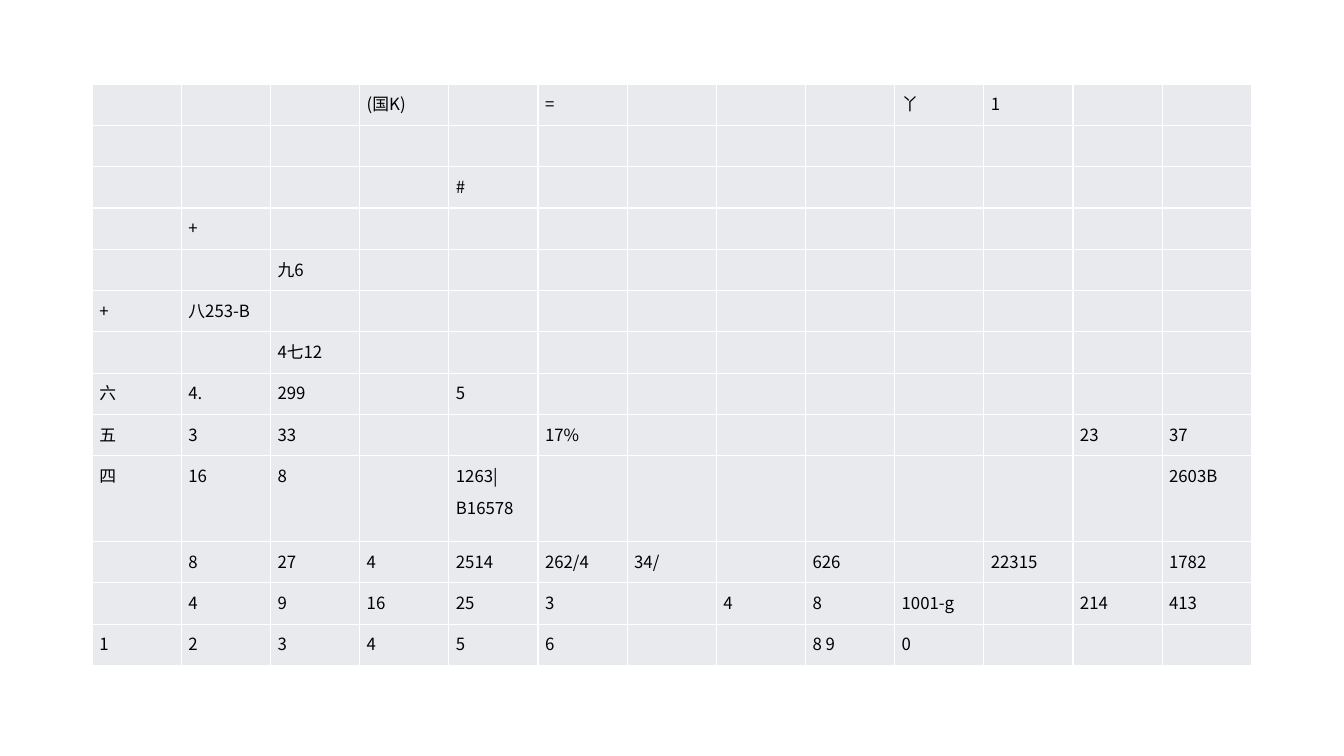
"""Build a slide with one sparse table of 13 columns and 13 rows."""
from dataclasses import dataclass

from lxml import etree
from pptx import Presentation
from pptx.dml.color import RGBColor
from pptx.enum.text import MSO_ANCHOR
from pptx.oxml.ns import qn
from pptx.util import Inches, Pt

TOP = MSO_ANCHOR.TOP

ROWS = [
    {3: "(国K)", 5: "=", 9: "丫", 10: "1"},
    {},
    {4: "#"},
    {1: "+"},
    {2: "九6"},
    {0: "+", 1: "八253-B"},
    {2: "4七12"},
    {0: "六", 1: "4.", 2: "299", 4: "5"},
    {0: "五", 1: "3", 2: "33", 5: "17%", 11: "23", 12: "37"},
    {0: "四", 1: "16", 2: "8", 4: "1263|B16578", 12: "2603B"},
    {1: "8", 2: "27", 3: "4", 4: "2514", 5: "262/4", 6: "34/", 8: "626",
     10: "22315", 12: "1782"},
    {1: "4", 2: "9", 3: "16", 4: "25", 5: "3", 7: "4", 8: "8", 9: "1001-g",
     11: "214", 12: "413"},
    {0: "1", 1: "2", 2: "3", 3: "4", 4: "5", 5: "6", 8: "8 9", 9: "0"},
]
COLUMNS = 13
TALL_ROW = 9


@dataclass(frozen=True)
class Theme:
    """Colours, type and lengths in inches or points."""
    fill: str = "E8EAED"
    border: str = "FFFFFF"
    text: str = "000000"
    font: str = "Noto Sans CJK SC"
    size: float = 12
    leading: float = 1.3
    after: float = 1.8
    inset: float = 0.07
    border_width: float = 1


THEME = Theme()
SLIDE_W, SLIDE_H = 13.33, 7.5
TABLE_W = 11.5
ROW_H, TALL_H = 0.41, 0.85


def add_borders(cell):
    """Draw the four sides of a cell."""
    tc_pr = cell._tc.get_or_add_tcPr()
    for i, side in enumerate(("lnL", "lnR", "lnT", "lnB")):
        ln = etree.Element(qn(f"a:{side}"), w=str(Pt(THEME.border_width)))
        fill = etree.SubElement(ln, qn("a:solidFill"))
        etree.SubElement(fill, qn("a:srgbClr"), val=THEME.border)
        tc_pr.insert(i, ln)


def write(cell, text):
    """Put styled text in a cell."""
    cell.text_frame.text = text
    p = cell.text_frame.paragraphs[0]
    p.line_spacing = THEME.leading
    p.space_after = Pt(THEME.after)
    r = p.runs[0]
    r.font.size = Pt(THEME.size)
    r.font.name = THEME.font
    r.font.color.rgb = RGBColor.from_string(THEME.text)
    etree.SubElement(r.font._element, qn("a:ea"), typeface=THEME.font)


def main():
    """Lay out the table and save the deck."""
    prs = Presentation()
    prs.slide_width, prs.slide_height = Inches(SLIDE_W), Inches(SLIDE_H)
    s = prs.slides.add_slide(prs.slide_layouts[6])
    heights = [TALL_H if i == TALL_ROW else ROW_H for i in range(len(ROWS))]
    left, top = (SLIDE_W - TABLE_W) / 2, SLIDE_H / 9
    table = s.shapes.add_table(
        len(ROWS), COLUMNS, Inches(left), Inches(top),
        Inches(TABLE_W), Inches(sum(heights))).table
    table.first_row = table.horz_banding = False
    for column in table.columns:
        column.width = Inches(TABLE_W / COLUMNS)
    for i, (row, height) in enumerate(zip(ROWS, heights)):
        table.rows[i].height = Inches(height)
        for j in range(COLUMNS):
            cell = table.cell(i, j)
            cell.margin_left = cell.margin_right = Inches(THEME.inset)
            cell.margin_top = cell.margin_bottom = 0
            cell.vertical_anchor = TOP
            cell.fill.solid()
            cell.fill.fore_color.rgb = RGBColor.from_string(THEME.fill)
            add_borders(cell)
            if j in row:
                write(cell, row[j])
    prs.save("out.pptx")


if __name__ == "__main__":
    main()
